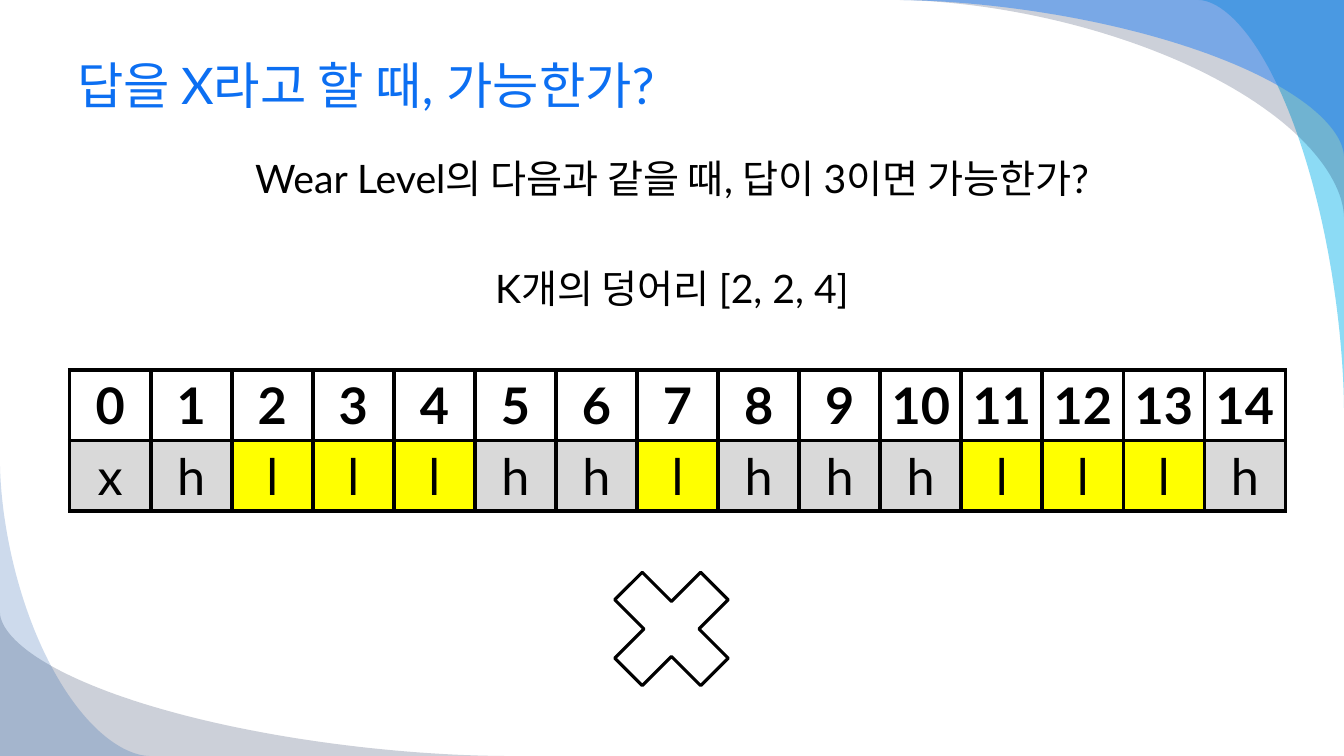
from math import cos, pi, sin

from lxml import etree
from pptx import Presentation
from pptx.dml.color import RGBColor
from pptx.enum.shapes import MSO_SHAPE
from pptx.enum.text import MSO_ANCHOR, PP_ALIGN
from pptx.oxml.ns import qn
from pptx.util import Inches, Pt

CENTER = PP_ALIGN.CENTER
LEFT = PP_ALIGN.LEFT
MIDDLE = MSO_ANCHOR.MIDDLE
TOP = MSO_ANCHOR.TOP
MULTIPLY = MSO_SHAPE.MATH_MULTIPLY

FONT = "Lato"
WIDTH, HEIGHT = Inches(13.33), Inches(7.5)
COLORS = {
    "title": "0C6FF2", "ink": "000000", "white": "FFFFFF",
    "high": "D9D9D9", "low": "FFFF00",
    "cyan": "00B1E9", "navy": "021741", "blue": "247FF4", "royal": "084AA1",
}
TOP_RIGHT, BOTTOM_LEFT = (100, 0), (0, 100)
SWEEPS = [
    (TOP_RIGHT, (89.2, 54.4), "cyan", 45),
    (TOP_RIGHT, (66.69, 28.67), "navy", 20),
    (TOP_RIGHT, (66.69, 20.67), "blue", 49),
    (BOTTOM_LEFT, (37.5, 81.07), "navy", 20),
    (BOTTOM_LEFT, (11.1, 61.07), "royal", 20),
]
SWEEP_STEPS = 60
SWEEP_POWER = 1.13
WEAR_LEVELS = "xhlllhhlhhhlllh"


def color(name):
    """Return the named colour."""
    return RGBColor.from_string(COLORS[name])


def share(across, down):
    """Turn percentages of the page into lengths."""
    return round(WIDTH * across / 100), round(HEIGHT * down / 100)


def place(left, top, width, height):
    """Turn a box in percentages of the page into lengths."""
    return (*share(left, top), *share(width, height))


def style(para, size, ink="ink", bold=False, align=CENTER):
    """Format a paragraph and its runs."""
    para.alignment = align
    for span in para.runs:
        span.font.name = FONT
        span.font.size = Pt(size)
        span.font.bold = bold
        span.font.color.rgb = color(ink)


def add_sweep(page, corner, center, fill, opacity):
    """Fill a page corner with a translucent curved band."""
    angles = [pi / 2 * step / SWEEP_STEPS for step in range(SWEEP_STEPS + 1)]
    curve = [
        share(center[0] + (corner[0] - center[0]) * abs(cos(angle)) ** SWEEP_POWER,
              center[1] + (corner[1] - center[1]) * sin(angle) ** SWEEP_POWER)
        for angle in angles
    ]
    builder = page.shapes.build_freeform(*share(*corner))
    builder.add_line_segments(curve, close=True)
    band = builder.convert_to_shape()
    band.shadow.inherit = False
    band.line.fill.background()
    band.fill.solid()
    band.fill.fore_color.rgb = color(fill)
    tint = band.fill._xPr.find(qn("a:solidFill"))[0]
    etree.SubElement(tint, qn("a:alpha"), val=str(opacity * 1000))


def add_text(page, box, lines, size, ink="ink", align=CENTER, anchor=TOP, gap=0):
    """Write one paragraph per line in the box."""
    frame = page.shapes.add_textbox(*box).text_frame
    frame.word_wrap = True
    frame.vertical_anchor = anchor
    frame.text = "\n".join(lines)
    for index, para in enumerate(frame.paragraphs):
        style(para, size, ink, align=align)
        para.space_before = Pt(gap if index else 0)


def border_cell(cell):
    """Draw a heavy line on each side of a cell."""
    properties = cell._tc.get_or_add_tcPr()
    for index, side in enumerate(("lnL", "lnR", "lnT", "lnB")):
        line = etree.Element(qn(f"a:{side}"), w=str(Pt(3)))
        fill = etree.SubElement(line, qn("a:solidFill"))
        etree.SubElement(fill, qn("a:srgbClr"), val=COLORS["ink"])
        properties.insert(index, line)


def add_wear_table(page, box, levels):
    """Show the index and wear level of each block."""
    rows = [[str(index) for index in range(len(levels))], list(levels)]
    table = page.shapes.add_table(len(rows), len(levels), *box).table
    for column in table.columns:
        column.width = box[2] // len(levels)
    for row_index, row in enumerate(rows):
        table.rows[row_index].height = box[3] // len(rows)
        for column_index, text in enumerate(row):
            cell = table.cell(row_index, column_index)
            cell.text = text
            cell.vertical_anchor = MIDDLE
            style(cell.text_frame.paragraphs[0], 36, bold=row_index == 0)
            level_fill = "low" if text == "l" else "high"
            cell.fill.solid()
            cell.fill.fore_color.rgb = color(level_fill if row_index else "white")
            border_cell(cell)


def add_cross(page, box):
    """Mark the answer as impossible."""
    cross = page.shapes.add_shape(MULTIPLY, *box)
    cross.shadow.inherit = False
    cross.fill.solid()
    cross.fill.fore_color.rgb = color("white")
    cross.line.color.rgb = color("ink")
    cross.line.width = Pt(2.25)


def build_feasibility_page(deck):
    """Build the page that tests one candidate answer."""
    page = deck.slides.add_slide(deck.slide_layouts[6])
    for sweep in SWEEPS:
        add_sweep(page, *sweep)
    add_text(page, place(5, 4.4, 90, 13.47), ["답을 X라고 할 때, 가능한가?"],
             36, "title", LEFT, MIDDLE)
    add_text(page, place(5, 19.73, 90, 24.27),
             ["Wear Level의 다음과 같을 때, 답이 3이면 가능한가?",
              "K개의 덩어리 [2, 2, 4]"], 28, gap=45)
    add_cross(page, place(43.81, 72.27, 12.3, 21.87))
    add_wear_table(page, place(5.18, 48.93, 90.47, 18.67), WEAR_LEVELS)


def main():
    """Build and save the deck."""
    deck = Presentation()
    deck.slide_width, deck.slide_height = WIDTH, HEIGHT
    build_feasibility_page(deck)
    deck.save("out.pptx")


if __name__ == "__main__":
    main()
